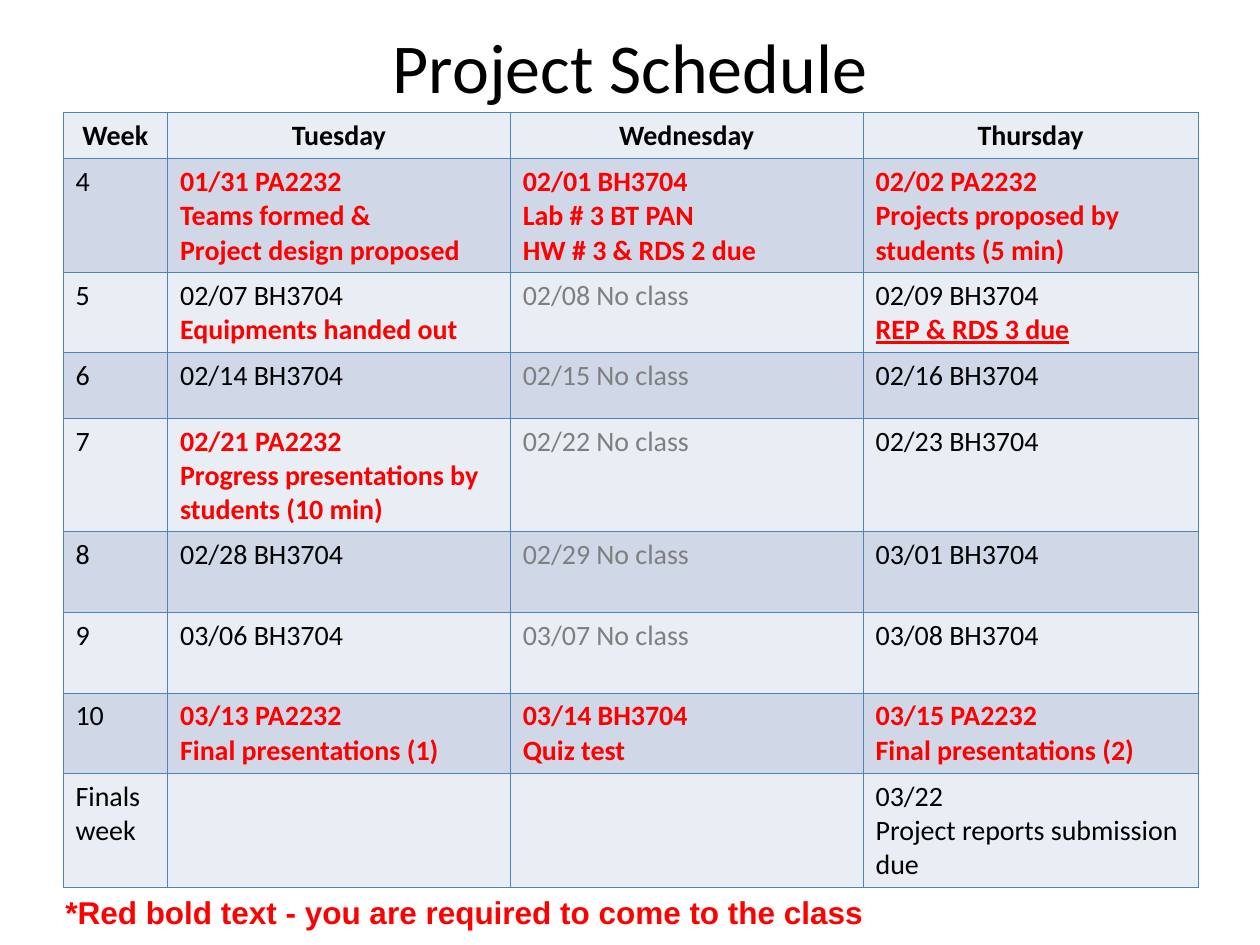
from lxml import etree
from pptx import Presentation
from pptx.dml.color import RGBColor
from pptx.enum.text import MSO_ANCHOR as Anchor, PP_ALIGN as Align
from pptx.oxml.ns import qn
from pptx.util import Inches, Pt

BLACK, RED, GREY = "000000", "FF0000", "7F7F7F"
PALE, DEEP, RULE = "E9EDF4", "D0D8E8", "4F81BD"
REQUIRED = dict(color=RED, bold=True)

COLUMN_WIDTHS = [0.83, 2.72, 2.8, 2.66]
ROW_HEIGHTS = [0.37, 0.9, 0.64, 0.52, 0.9, 0.64, 0.64, 0.64, 0.9]
DAYS = ["Week", "Tuesday", "Wednesday", "Thursday"]


def plain(*lines):
    return [(line, {}) for line in lines]


def required(*lines):
    return [(line, REQUIRED) for line in lines]


def no_class(date):
    return [(f"{date} No class", dict(color=GREY))]


WEEKS = [
    (plain("4"),
     required("01/31 PA2232", "Teams formed &", "Project design proposed"),
     required("02/01 BH3704", "Lab # 3 BT PAN", "HW # 3 & RDS 2 due"),
     required("02/02 PA2232", "Projects proposed by students (5 min)")),
    (plain("5"),
     plain("02/07 BH3704") + required("Equipments handed out"),
     no_class("02/08"),
     plain("02/09 BH3704") + [("REP & RDS 3 due", dict(REQUIRED, underline=True))]),
    (plain("6"), plain("02/14 BH3704"), no_class("02/15"), plain("02/16 BH3704")),
    (plain("7"),
     required("02/21 PA2232", "Progress presentations by students (10 min)"),
     no_class("02/22"),
     plain("02/23 BH3704")),
    (plain("8"), plain("02/28 BH3704"), no_class("02/29"), plain("03/01 BH3704")),
    (plain("9"), plain("03/06 BH3704"), no_class("03/07"), plain("03/08 BH3704")),
    (plain("10"),
     required("03/13 PA2232", "Final presentations (1)"),
     required("03/14 BH3704", "Quiz test"),
     required("03/15 PA2232", "Final presentations (2)")),
    (plain("Finals week"), [], [],
     plain("03/22", "Project reports submission due")),
]


def rgb(value):
    return RGBColor.from_string(value)


def write(paragraph, text, size=16, font="Calibri", color=BLACK, bold=False,
          underline=False, align=Align.LEFT):
    paragraph.alignment = align
    run = paragraph.add_run()
    run.text = text
    run.font.size = Pt(size)
    run.font.name = font
    run.font.color.rgb = rgb(color)
    run.font.bold = bold
    run.font.underline = underline


def add_text(slide, left, top, width, height, text, anchor=Anchor.TOP, **style):
    box = slide.shapes.add_textbox(Inches(left), Inches(top), Inches(width), Inches(height))
    frame = box.text_frame
    frame.word_wrap = True
    frame.vertical_anchor = anchor
    write(frame.paragraphs[0], text, **style)


def set_borders(cell, color, points):
    properties = cell._tc.get_or_add_tcPr()
    for side in ("a:lnL", "a:lnR", "a:lnT", "a:lnB"):
        line = etree.SubElement(properties, qn(side), w=str(Pt(points)))
        fill = etree.SubElement(line, qn("a:solidFill"))
        etree.SubElement(fill, qn("a:srgbClr"), val=color)


def fill_cell(cell, lines, background):
    set_borders(cell, RULE, 0.45)
    cell.fill.solid()
    cell.fill.fore_color.rgb = rgb(background)
    frame = cell.text_frame
    for index, (text, style) in enumerate(lines):
        paragraph = frame.add_paragraph() if index else frame.paragraphs[0]
        write(paragraph, text, **style)


def add_schedule(slide, left, top, width, height):
    header = [[(day, dict(bold=True, align=Align.CENTER))] for day in DAYS]
    rows = [header, *WEEKS]
    table = slide.shapes.add_table(len(rows), len(DAYS), Inches(left), Inches(top),
                                   Inches(width), Inches(height)).table
    table.first_row = table.horz_banding = False
    for column, column_width in zip(table.columns, COLUMN_WIDTHS):
        column.width = Inches(column_width)
    for row, row_height in zip(table.rows, ROW_HEIGHTS):
        row.height = Inches(row_height)
    for r, entries in enumerate(rows):
        for c, lines in enumerate(entries):
            fill_cell(table.cell(r, c), lines, DEEP if r % 2 else PALE)


def main():
    deck = Presentation()
    deck.slide_width, deck.slide_height = Inches(10), Inches(7.5)
    slide = deck.slides.add_slide(deck.slide_layouts[6])
    add_text(slide, 0.5, 0.15, 9, 0.74, "Project Schedule", anchor=Anchor.MIDDLE,
             size=40, align=Align.CENTER)
    add_schedule(slide, 0.5, 0.89, 9, 6.14)
    add_text(slide, 0.42, 7.04, 8.58, 0.4,
             "*Red bold text - you are required to come to the class",
             size=18, font="Arial", **REQUIRED)
    deck.save("out.pptx")


if __name__ == "__main__":
    main()
